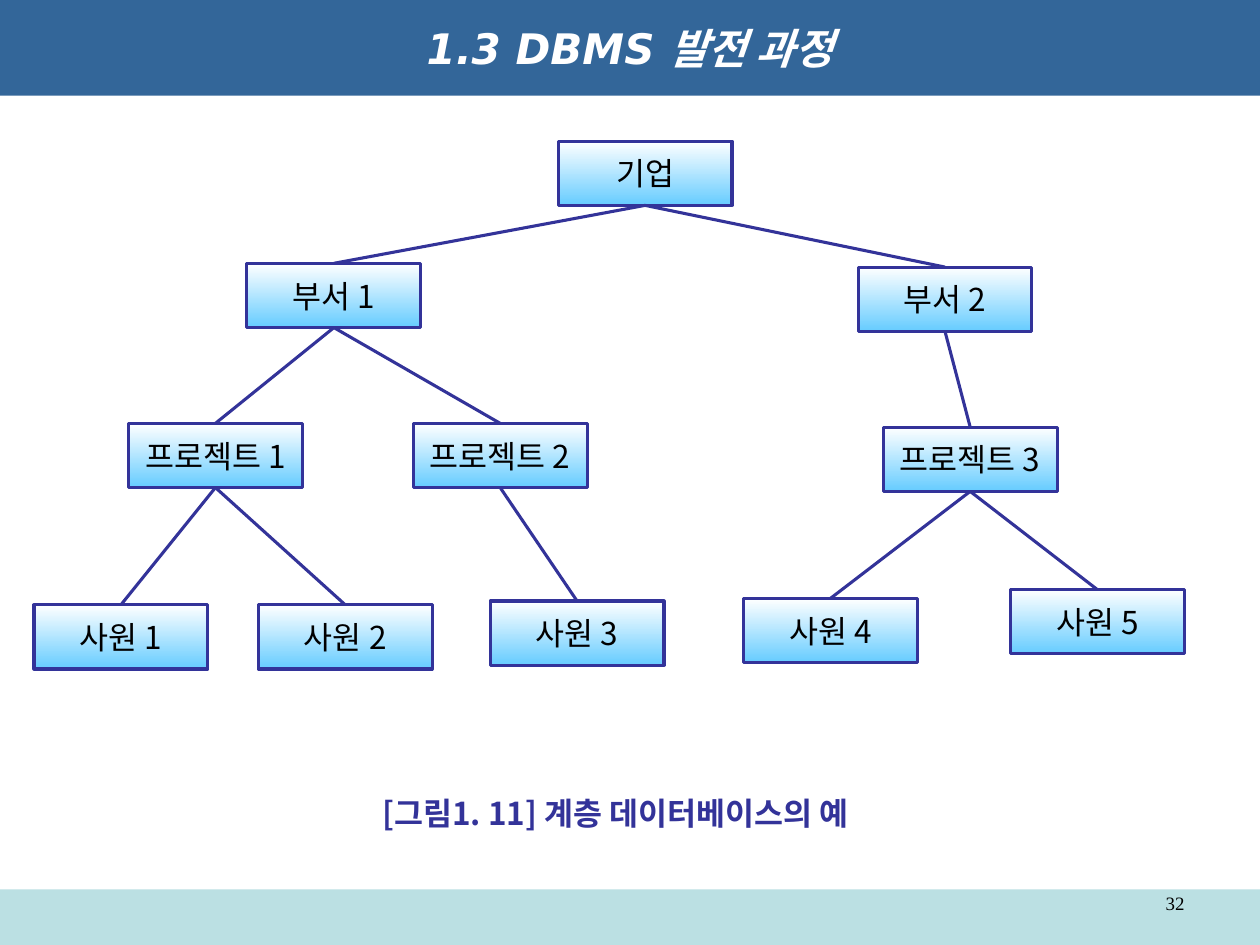
from lxml import etree
from pptx import Presentation
from pptx import util as u
from pptx.dml.color import RGBColor
from pptx.enum import shapes, text
from pptx.oxml import ns

COLORS = {
    "header": "336699",
    "footer": "BBE0E3",
    "outline": "333399",
    "node_top": "FFFFFF",
    "node_bottom": "66CCFF",
    "white": "FFFFFF",
    "black": "000000",
}
COLUMNS, ROWS = 100, 75
NODE_SIZE = (13.8, 5.1)
BOTTOM, TOP = 2, 0

NODES = {
    "기업": (44.3, 11.2),
    "부서 1": (19.6, 20.9),
    "부서 2": (68.1, 21.2),
    "프로젝트 1": (10.2, 33.6),
    "프로젝트 2": (32.8, 33.6),
    "프로젝트 3": (70.1, 33.9),
    "사원 1": (2.7, 48),
    "사원 2": (20.5, 48),
    "사원 3": (38.9, 47.7),
    "사원 4": (59, 47.5),
    "사원 5": (80.2, 46.8),
}
CHILDREN = {
    "기업": ["부서 1", "부서 2"],
    "부서 1": ["프로젝트 1", "프로젝트 2"],
    "부서 2": ["프로젝트 3"],
    "프로젝트 1": ["사원 1", "사원 2"],
    "프로젝트 2": ["사원 3"],
    "프로젝트 3": ["사원 4", "사원 5"],
}


def color(name):
    return RGBColor.from_string(COLORS[name])


class TreeSlide:
    def __init__(self, deck):
        self.slide = deck.slides.add_slide(deck.slide_layouts[6])
        self.column = deck.slide_width / COLUMNS
        self.row = deck.slide_height / ROWS

    def place(self, left, top, width, height):
        return (round(left * self.column), round(top * self.row),
                round(width * self.column), round(height * self.row))

    def add_words(self, holder, words, size, latin, asian, ink,
                  align=text.PP_ALIGN.CENTER, bold=False, italic=False):
        paragraph = holder.text_frame.paragraphs[0]
        paragraph.alignment = align
        run = paragraph.add_run()
        run.text = words
        font = run.font
        font.size, font.name = u.Pt(size), latin
        font.bold, font.italic = bold, italic
        font.color.rgb = color(ink)
        etree.SubElement(run._r.get_or_add_rPr(), ns.qn("a:ea"), typeface=asian)
        return paragraph

    def box(self, *area):
        rectangle = self.slide.shapes.add_shape(
            shapes.MSO_SHAPE.RECTANGLE, *self.place(*area))
        rectangle.shadow.inherit = False
        rectangle.text_frame.vertical_anchor = text.MSO_ANCHOR.MIDDLE
        return rectangle

    def band(self, top, height, fill):
        strip = self.box(0, top, COLUMNS, height)
        strip.fill.solid()
        strip.fill.fore_color.rgb = color(fill)
        strip.line.fill.background()
        return strip

    def label(self, *area):
        caption = self.slide.shapes.add_textbox(*self.place(*area))
        caption.text_frame.word_wrap = True
        return caption

    def node(self, words, left, top):
        entity = self.box(left, top, *NODE_SIZE)
        entity.fill.gradient()
        entity.fill.gradient_angle = 270
        for stop, position, shade in zip(entity.fill.gradient_stops, (0, 1),
                                         ("node_top", "node_bottom")):
            stop.position = position
            stop.color.rgb = color(shade)
        entity.line.color.rgb = color("outline")
        entity.line.width = u.Pt(1.75)
        frame = entity.text_frame
        frame.word_wrap = False
        frame.margin_left = frame.margin_right = u.Inches(0.16)
        self.add_words(entity, words, 18, "Noto Sans CJK JP", "Noto Sans CJK JP", "black")
        return entity

    def branch(self, parent, child):
        link = self.slide.shapes.add_connector(shapes.MSO_CONNECTOR.STRAIGHT, 0, 0, 0, 0)
        link.begin_connect(parent, BOTTOM)
        link.end_connect(child, TOP)
        link.line.color.rgb = color("outline")
        link.line.width = u.Pt(1.75)
        etree.SubElement(link._element.spPr, ns.qn("a:effectLst"))


def main():
    deck = Presentation()
    deck.slide_width, deck.slide_height = u.Inches(10), u.Inches(7.5)
    tree = TreeSlide(deck)

    tree.band(70.6, 4.4, "footer")
    header = tree.band(0, 7.6, "header")
    tree.add_words(header, "1.3 DBMS 발전 과정", 24, "DejaVu Sans", "Noto Sans CJK KR",
                   "white", bold=True, italic=True)

    page = tree.label(71.7, 70.6, 23.3, 2.9)
    number = tree.add_words(page, "32", 10.8, "Times New Roman", "Times New Roman",
                            "black", align=text.PP_ALIGN.RIGHT)
    number.line_spacing = 0.8

    entities = {words: tree.node(words, *corner) for words, corner in NODES.items()}
    for parent, children in CHILDREN.items():
        for child in children:
            tree.branch(entities[parent], entities[child])

    caption = tree.label(27.3, 62.5, 43.1, 4)
    tree.add_words(caption, "[그림1. 11] 계층 데이터베이스의 예", 18, "Noto Sans CJK KR",
                   "Noto Sans CJK KR", "outline", bold=True)

    deck.save("out.pptx")


if __name__ == "__main__":
    main()
